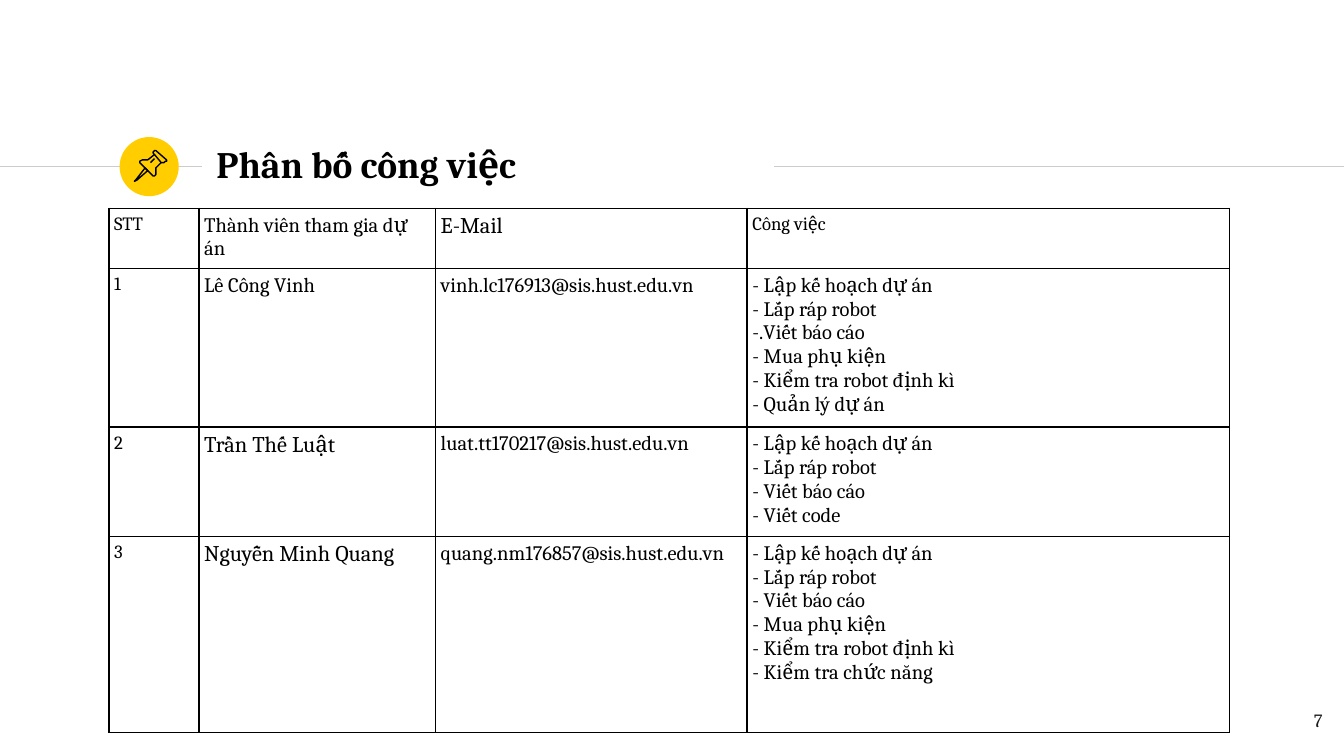
from lxml import etree
from pptx import Presentation
from pptx.dml.color import RGBColor
from pptx.enum.shapes import MSO_CONNECTOR, MSO_SHAPE
from pptx.enum.text import MSO_ANCHOR, PP_ALIGN
from pptx.oxml.ns import qn
from pptx.util import Inches, Pt

STRAIGHT = MSO_CONNECTOR.STRAIGHT
OVAL = MSO_SHAPE.OVAL
MIDDLE, TOP = MSO_ANCHOR.MIDDLE, MSO_ANCHOR.TOP
LEFT, RIGHT = PP_ALIGN.LEFT, PP_ALIGN.RIGHT

FONT = "Cambria"
COLORS = {"ink": "000000", "number": "1D1D1B", "rule": "CCCCCC", "accent": "FFCD00"}

COLUMN_WIDTHS = [0.67, 1.76, 2.32, 3.59]
ROW_HEIGHTS = [0.37, 0.98, 0.68, 1.46]
HEADER = [("STT", 10), ("Thành viên tham gia dự án", 11), ("E-Mail", 12), ("Công việc", 10)]
PLAN, BUILD, REPORT = "- Lập kế hoạch dự án", "- Lắp ráp robot", "- Viết báo cáo"
BUY, CHECK = "- Mua phụ kiện", "- Kiểm tra robot định kì"
MEMBERS = [
    ("Lê Công Vinh", 11, "vinh.lc176913@sis.hust.edu.vn",
     [PLAN, BUILD, "-.Viết báo cáo", BUY, CHECK, "- Quản lý dự án"]),
    ("Trần Thế Luật", 12, "luat.tt170217@sis.hust.edu.vn",
     [PLAN, BUILD, REPORT, "- Viết code"]),
    ("Nguyễn Minh Quang", 12, "quang.nm176857@sis.hust.edu.vn",
     [PLAN, BUILD, REPORT, BUY, CHECK, "- Kiểm tra chức năng"]),
]

PIN_UNIT = Inches(0.01)
PIN_OUTLINES = [
    ([(19, 23), (12, 32), (11, 33), (13, 32), (21, 25)], True),
    ([(26, 13), (31, 19), (33, 19), (34, 18), (35, 17.5), (35, 17),
      (27, 10), (26, 10), (25, 11), (25, 12)], True),
    ([(26, 13), (21, 17), (19, 17), (17, 17), (15, 18), (15, 19), (25, 29),
      (26, 29), (27, 28), (27, 25), (27, 23), (31, 19)], False),
    ([(23, 19), (26, 16)], False),
]


def color(name):
    return RGBColor.from_string(COLORS[name])


def write(frame, lines, size, ink="ink", align=LEFT, anchor=TOP, inset=0.1, bold=False):
    margin = Inches(inset)
    frame_format = {"word_wrap": True, "vertical_anchor": anchor,
                    "margin_left": margin, "margin_right": margin,
                    "margin_top": margin, "margin_bottom": margin}
    for name, value in frame_format.items():
        setattr(frame, name, value)
    write_lines(frame, lines, size, ink, align, bold)


def write_lines(frame, lines, size, ink="ink", align=LEFT, bold=False):
    for index, line in enumerate(lines):
        para = frame.paragraphs[0] if index == 0 else frame.add_paragraph()
        para.alignment = align
        span = para.add_run()
        span.text = line
        for name, value in {"name": FONT, "size": Pt(size), "bold": bold}.items():
            setattr(span.font, name, value)
        span.font.color.rgb = color(ink)


def add_rule(page, start, end, height):
    rule = page.shapes.add_connector(
        STRAIGHT, Inches(start), Inches(height), Inches(end), Inches(height))
    rule.line.color.rgb = color("rule")
    rule.line.width = Pt(0.75)
    etree.SubElement(rule._element.spPr, qn("a:effectLst"))


def add_pin_badge(page, left, top, size):
    disc = page.shapes.add_shape(OVAL, Inches(left), Inches(top), Inches(size), Inches(size))
    disc.shadow.inherit = False
    disc.fill.solid()
    disc.fill.fore_color.rgb = color("accent")
    disc.line.fill.background()
    pin = page.shapes.add_group_shape()
    for points, closed in PIN_OUTLINES:
        builder = pin.shapes.build_freeform(*points[0], scale=PIN_UNIT)
        builder.add_line_segments(points[1:], close=closed)
        outline = builder.convert_to_shape(Inches(left), Inches(top))
        outline.shadow.inherit = False
        outline.fill.background()
        outline.line.color.rgb = color("ink")
        outline.line.width = Pt(0.75)


def add_heading(page, left, top, width, height):
    middle = top + 0.26
    add_rule(page, 0, left - 0.01, middle)
    add_rule(page, left + width + 0.01, 10, middle)
    add_pin_badge(page, left - 0.62, middle - 0.22, 0.44)
    title = page.shapes.title
    box = {"left": left, "top": top, "width": width, "height": height}
    for name, value in box.items():
        setattr(title, name, Inches(value))
    write(title.text_frame, ["Phân bố công việc"], 20, anchor=MIDDLE, bold=True)


def add_borders(cell):
    properties = cell._tc.get_or_add_tcPr()
    for index, side in enumerate(("lnL", "lnR", "lnT", "lnB")):
        border = etree.Element(qn(f"a:{side}"), w=str(Pt(1)))
        fill = etree.SubElement(border, qn("a:solidFill"))
        etree.SubElement(fill, qn("a:srgbClr"), val=COLORS["ink"])
        properties.insert(index, border)


def fill_cell(cell, lines, size):
    write_lines(cell.text_frame, lines, size)
    for side in ("left", "right", "top", "bottom"):
        setattr(cell, f"margin_{side}", Inches(0.04))
    cell.vertical_anchor = TOP
    cell.fill.background()
    add_borders(cell)


def add_task_table(page, left, top):
    frame = page.shapes.add_table(
        len(ROW_HEIGHTS), len(COLUMN_WIDTHS), Inches(left), Inches(top),
        Inches(sum(COLUMN_WIDTHS)), Inches(sum(ROW_HEIGHTS)))
    table = frame.table
    table.first_row = table.horz_banding = False
    for column, width in zip(table.columns, COLUMN_WIDTHS):
        column.width = Inches(width)
    for row, height in zip(table.rows, ROW_HEIGHTS):
        row.height = Inches(height)
    rows = [[([label], size) for label, size in HEADER]]
    for number, (member, size, email, tasks) in enumerate(MEMBERS, 1):
        rows.append([([str(number)], 10), ([member], size), ([email], 11), (tasks, 11)])
    for row, contents in zip(table.rows, rows):
        for cell, (lines, size) in zip(row.cells, contents):
            fill_cell(cell, lines, size)


def add_page_number(page, left, top, width, height):
    box = page.shapes.add_textbox(Inches(left), Inches(top), Inches(width), Inches(height))
    write(box.text_frame, ["7"], 10, ink="number", align=RIGHT)


def main():
    deck = Presentation()
    deck.slide_width = Inches(10)
    deck.slide_height = deck.slide_width * 9 // 16
    page = deck.slides.add_slide(deck.slide_layouts[5])
    add_heading(page, 1.51, 0.98, 4.24, 0.48)
    add_page_number(page, 9.34, 5.19, 0.6, 0.43)
    add_task_table(page, 0.81, 1.55)
    deck.save("out.pptx")


if __name__ == "__main__":
    main()
